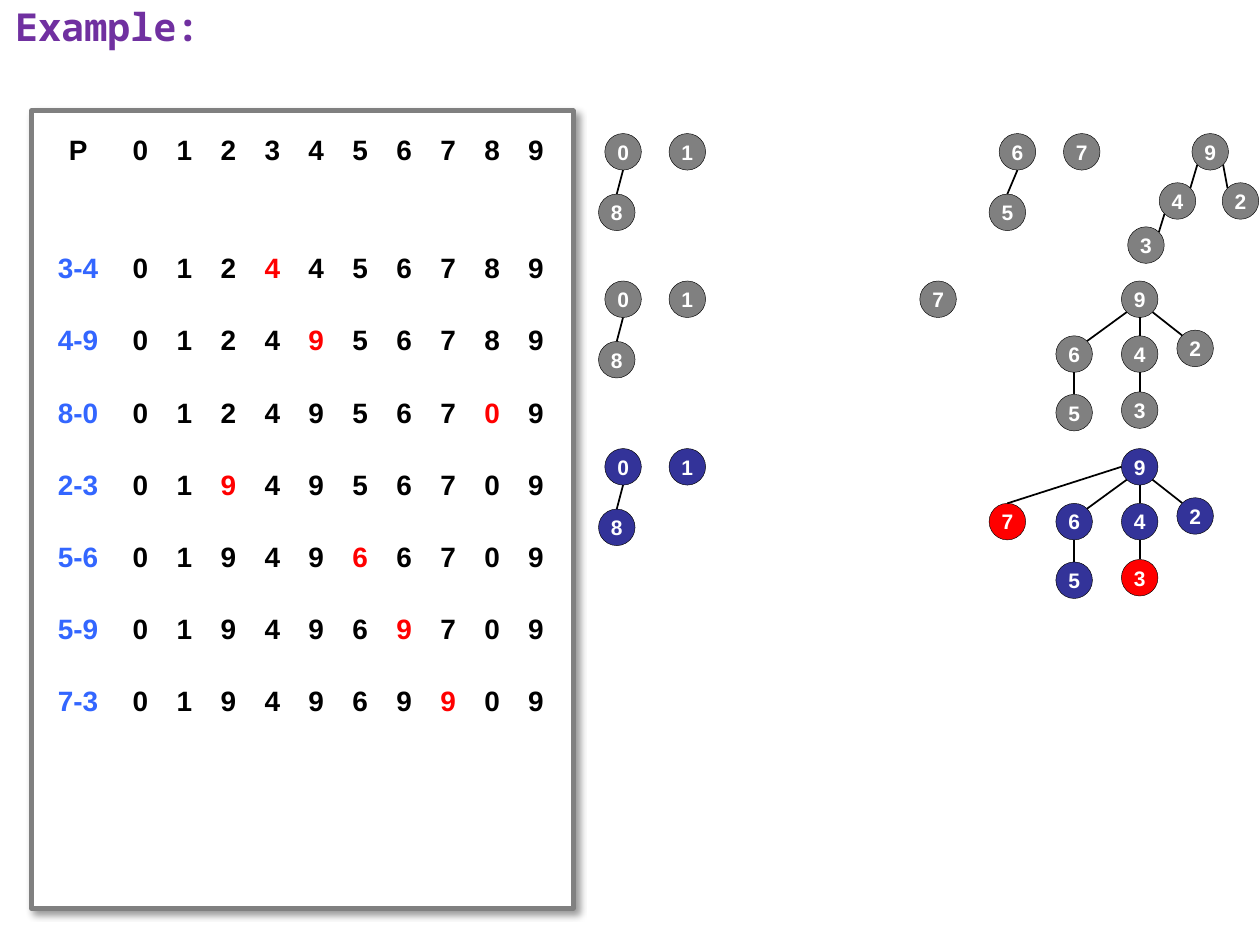
from math import cos, radians, sin

from lxml.etree import SubElement
from pptx import Presentation
from pptx.dml.color import RGBColor
from pptx.enum.shapes import MSO_CONNECTOR as Connector, MSO_SHAPE as Shape
from pptx.enum.text import MSO_ANCHOR as Anchor, PP_ALIGN as Align
from pptx.oxml import parse_xml
from pptx.oxml.ns import nsdecls, qn
from pptx.util import Inches, Pt

COLORS = {
    "title": "7030A0", "ink": "000000", "paper": "FFFFFF", "pair": "3366FF",
    "changed": "FF0000", "past": "808080", "current": "333399",
}
GRID_COLUMNS, GRID_ROWS = 100, 75
NODE_SIZE = 2.9
ANGLES = {"E": 0, "SE": 45, "S": 90, "SW": 135, "W": 180, "NW": 225, "N": 270, "NE": 315}

# Each union sets one new parent in the array: pair, index, parent.
UNIONS = [("3-4", 3, 4), ("4-9", 4, 9), ("8-0", 8, 0), ("2-3", 2, 9),
          ("5-6", 5, 6), ("5-9", 6, 9), ("7-3", 7, 9)]

# Nodes give column and row below the roots; edges run from child to parent.
LEFT_TREES = {"0": (48, 0), "1": (53.1, 0), "8": (47.5, 4.8)}
MERGED_TREE = {"9": (89, 0), "6": (83.8, 4.35), "4": (89, 4.35),
               "2": (93.4, 3.9), "5": (83.8, 9), "3": (89, 8.8)}
LEFT_EDGES = ["8 N 0 S"]
MERGED_EDGES = ["3 N 4 S", "4 N 9 S", "2 NW 9 SE", "5 N 6 S", "6 NE 9 SW"]
FORESTS = [
    (10.6, "past", "",
     {"6": (79.3, 0), "7": (84.4, 0), "9": (94.6, 0), "5": (78.5, 4.8),
      "4": (92, 3.9), "2": (97, 3.9), "3": (89.5, 7.4)},
     ["3 NE 4 SW", "4 NE 9 SW", "2 NW 9 SE", "5 N 6 S"]),
    (22.3, "past", "", {**MERGED_TREE, "7": (73, 0)}, MERGED_EDGES),
    (35.6, "current", "73", {**MERGED_TREE, "7": (78.5, 4.35)},
     MERGED_EDGES + ["7 N 9 W"]),
]


class SlideBuilder:
    """Draws styled elements on a slide; lengths are grid columns and rows."""

    def __init__(self, deck):
        self.deck = deck
        self.page = deck.slides.add_slide(deck.slide_layouts[1])
        title = self.page.shapes.title.element
        title.getparent().remove(title)

    def x(self, columns):
        return round(self.deck.slide_width * columns / GRID_COLUMNS)

    def y(self, rows):
        return round(self.deck.slide_height * rows / GRID_ROWS)

    def area(self, left, top, width, height):
        return self.x(left), self.y(top), self.x(width), self.y(height)

    def color(self, name):
        return RGBColor.from_string(COLORS[name])

    def add_span(self, para, text, size, color, font="Arial"):
        span = para.add_run()
        span.text = text
        span.font.name, span.font.size, span.font.bold = font, Pt(size), True
        span.font.color.rgb = self.color(color)

    def heading(self, text, *area):
        body = self.page.placeholders[1]
        body.left, body.top, body.width, body.height = self.area(*area)
        para = body.text_frame.paragraphs[0]
        properties = para._p.get_or_add_pPr()
        properties.set("marL", str(self.x(3.8)))
        properties.set("indent", str(-self.x(3.8)))
        SubElement(properties, qn("a:buNone"))
        self.add_span(para, text, 22, "title", "Noto Sans Mono")

    def outlined(self, kind, area, fill, line, weight):
        shape = self.page.shapes.add_shape(kind, *self.area(*area))
        shape.shadow.inherit = False
        shape.fill.solid()
        shape.fill.fore_color.rgb = self.color(fill)
        shape.line.color.rgb = self.color(line)
        shape.line.width = Pt(weight)
        return shape

    def panel(self, *area):
        panel = self.outlined(Shape.RECTANGLE, area, "paper", "past", 2.75)
        panel._element.spPr.find(qn("a:effectLst")).append(parse_xml(
            f'<a:outerShdw {nsdecls("a")} blurRad="{Pt(4)}" dist="{Pt(3)}" '
            f'dir="2700000" algn="tl" rotWithShape="0"><a:srgbClr val="{COLORS["ink"]}">'
            '<a:alpha val="40000"/></a:srgbClr></a:outerShdw>'))

    def table(self, left, top, widths, heights, rows):
        """Fill a plain table from rows of (text, colour) pairs."""
        frame = self.page.shapes.add_table(
            len(heights), len(widths), *self.area(left, top, sum(widths), sum(heights)))
        table = frame.table
        table.first_row = table.horz_banding = False
        for column, width in zip(table.columns, widths):
            column.width = self.x(width)
        for row, height in zip(table.rows, heights):
            row.height = self.y(height)
        for cell in table.iter_cells():
            cell.fill.background()
            cell.vertical_anchor = Anchor.MIDDLE
            cell.margin_left = cell.margin_right = cell.margin_top = cell.margin_bottom = 0
        for row, entries in zip(table.rows, rows):
            for cell, (text, color) in zip(row.cells, entries):
                para = cell.text_frame.paragraphs[0]
                para.alignment = Align.CENTER
                self.add_span(para, text, 16, color)

    def node(self, label, left, top, fill):
        circle = self.outlined(Shape.OVAL, (left, top, NODE_SIZE, NODE_SIZE), fill, "ink", 0.25)
        box = circle.text_frame
        box.word_wrap = False
        box.vertical_anchor = Anchor.MIDDLE
        box.margin_left = box.margin_right = box.margin_top = box.margin_bottom = 0
        box.paragraphs[0].alignment = Align.CENTER
        self.add_span(box.paragraphs[0], label, 12, "paper")

    def rim(self, left, top, side):
        """Point on a node's circle at a compass side."""
        radius, angle = NODE_SIZE / 2, radians(ANGLES[side])
        return (self.x(left + radius + radius * cos(angle)),
                self.y(top + radius + radius * sin(angle)))

    def edge(self, start, end):
        line = self.page.shapes.add_connector(Connector.STRAIGHT, *start, *end)
        line.line.color.rgb = self.color("ink")
        line.line.width = Pt(1)
        SubElement(line._element.spPr, qn("a:effectLst"))

    def forest(self, top, fill, changed, nodes, edges):
        places = {label: (left, top + row) for label, (left, row) in nodes.items()}
        for label, place in places.items():
            self.node(label, *place, "changed" if label in changed else fill)
        for edge in edges:
            child, child_side, parent, parent_side = edge.split()
            self.edge(self.rim(*places[child], child_side),
                      self.rim(*places[parent], parent_side))


def union_rows():
    """Header, gap, then the parent array after each union."""
    parents = list(range(10))
    rows = [[("P", "ink")] + [(str(parent), "ink") for parent in parents], []]
    for pair, index, parent in UNIONS:
        parents[index] = parent
        rows.append([(pair, "pair")] + [
            (str(value), "changed" if place == index else "ink")
            for place, value in enumerate(parents)])
    return rows


def main():
    deck = Presentation()
    deck.slide_width, deck.slide_height = Inches(10), Inches(7.5)
    builder = SlideBuilder(deck)
    builder.heading("Example:", 0.2, -0.3, 102.1, 64.1)
    builder.panel(2.5, 8.8, 43, 63.3)
    builder.table(3, 9.1, [6.4] + [3.49] * 10, [5.73, 3.67] + [5.73] * 9, union_rows())
    for top, fill, changed, nodes, edges in FORESTS:
        builder.forest(top, fill, changed, {**LEFT_TREES, **nodes}, LEFT_EDGES + edges)
    deck.save("out.pptx")


if __name__ == "__main__":
    main()
